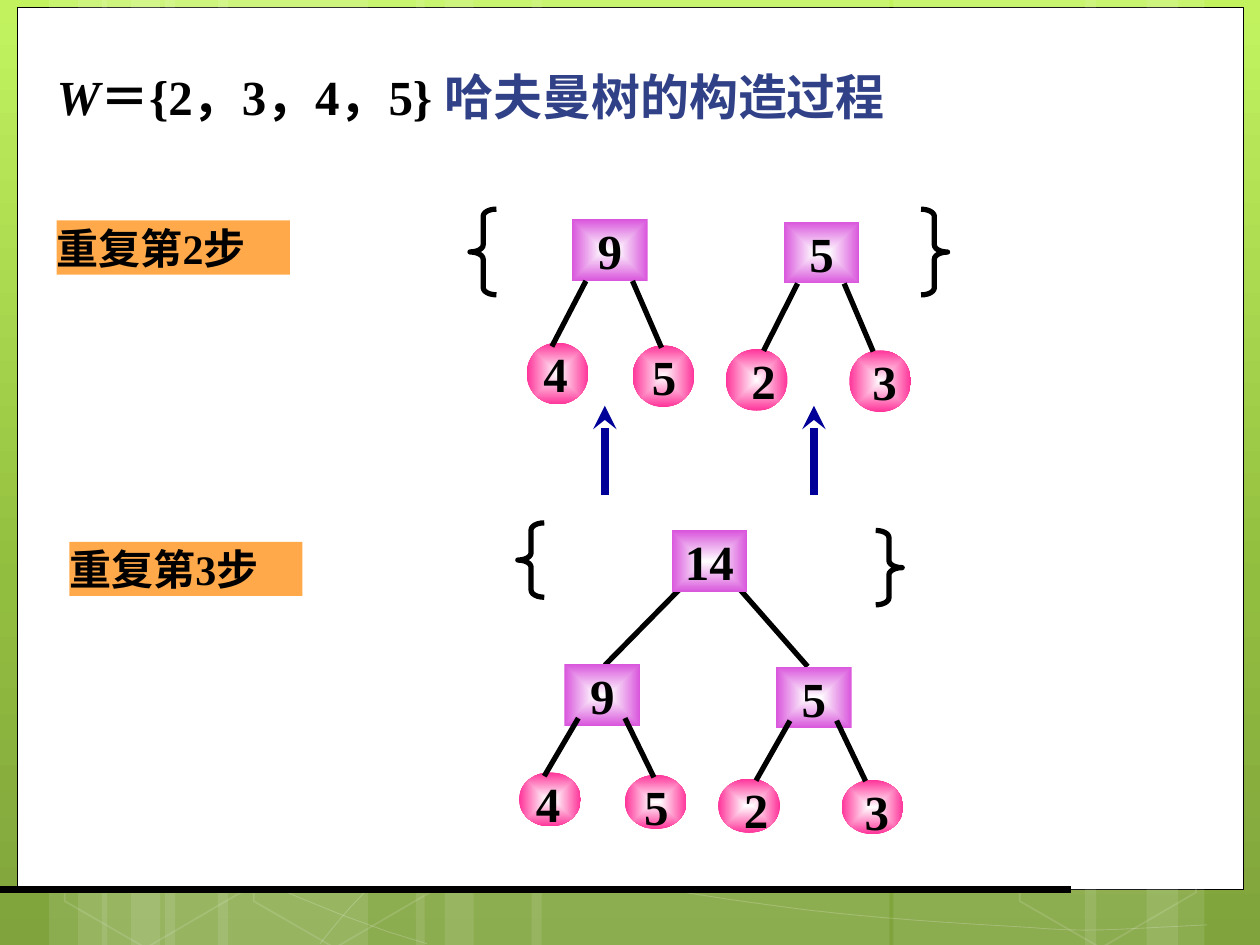
from lxml import etree
from pptx import Presentation
from pptx.dml.color import RGBColor
from pptx.enum.shapes import MSO_CONNECTOR, MSO_SHAPE
from pptx.enum.text import MSO_ANCHOR, PP_ALIGN
from pptx.oxml.ns import qn
from pptx.util import Inches, Pt

RECT, OVAL = MSO_SHAPE.RECTANGLE, MSO_SHAPE.OVAL
HEXAGON, BRACE = MSO_SHAPE.HEXAGON, MSO_SHAPE.LEFT_BRACE
STRAIGHT = MSO_CONNECTOR.STRAIGHT
TOP, MIDDLE = MSO_ANCHOR.TOP, MSO_ANCHOR.MIDDLE
LEFT, CENTER, JUSTIFY = PP_ALIGN.LEFT, PP_ALIGN.CENTER, PP_ALIGN.JUSTIFY

W, H = 10, 7.5
NODE_W = NODE_H = LEAF_W = 0.49
NODE_W = 0.6


class Theme:
    white, ink, title, arrow = "FFFFFF", "000000", "314187", "000099"
    step, node, leaf = "FFA94A", "D955DC", "FF3399"
    sky = [(0, "C2F35F"), (62, "92BE3F"), (100, "80A33D")]
    latin, cjk = "Times New Roman", "Noto Sans CJK SC"
    big, small = 28, 24
    branch, heavy = 3, 4.5


def inches(*values):
    return [Inches(v) for v in values]


def gradient(root, stops, centred=True):
    """Replace the solid fill under root with a gradient."""
    old = root.find(".//" + qn("a:solidFill"))
    grad = etree.Element(qn("a:gradFill"), rotWithShape="1")
    gs_list = etree.SubElement(grad, qn("a:gsLst"))
    for pos, color in stops:
        gs = etree.SubElement(gs_list, qn("a:gs"), pos=str(pos * 1000))
        etree.SubElement(gs, qn("a:srgbClr"), val=color)
    if centred:
        path = etree.SubElement(grad, qn("a:path"))
        path.set("path", "shape")
        half = dict.fromkeys("ltrb", "50000")
        etree.SubElement(path, qn("a:fillToRect"), **half)
    else:
        etree.SubElement(grad, qn("a:lin"), ang="5400000", scaled="0")
    old.getparent().replace(old, grad)


def style(sp, fill=None, line=None, width=1, alpha=None):
    sp.shadow.inherit = False
    for fmt, color in ((sp.fill, fill), (sp.line.fill, line)):
        if color:
            fmt.solid()
            fmt.fore_color.rgb = RGBColor.from_string(color)
        else:
            fmt.background()
    if line:
        sp.line.width = Pt(width)
    if alpha:
        for clr in sp._element.spPr.iter(qn("a:srgbClr")):
            etree.SubElement(clr, qn("a:alpha"), val=str(alpha * 1000))
    return sp


def shape(s, kind, box, **fmt):
    return style(s.shapes.add_shape(kind, *inches(*box)), **fmt)


def line(s, start, end, width, color=Theme.ink, arrow=False):
    cx = s.shapes.add_connector(STRAIGHT, *inches(*start, *end))
    cx.line.width = Pt(width)
    cx.line.color.rgb = RGBColor.from_string(color)
    if arrow:
        etree.SubElement(cx.line._get_or_add_ln(), qn("a:tailEnd"), type="stealth")
    etree.SubElement(cx._element.spPr, qn("a:effectLst"))


def write(sp, runs, size=Theme.big, align=CENTER, anchor=MIDDLE, inset=0, wrap=True):
    """Fill a shape with runs of (text, format values)."""
    tf = sp.text_frame
    margins = {"margin_" + k: Inches(inset) for k in ("left", "top", "right", "bottom")}
    for key, value in dict(margins, word_wrap=wrap, vertical_anchor=anchor).items():
        setattr(tf, key, value)
    p = tf.paragraphs[0]
    p.alignment = align
    for text, fmt in runs:
        r = p.add_run()
        r.text = text
        values = dict(name=Theme.latin, size=Pt(size), bold=True, italic=False)
        color = fmt.pop("color", Theme.ink)
        for key, value in {**values, **fmt}.items():
            setattr(r.font, key, value)
        r.font.color.rgb = RGBColor.from_string(color)
        etree.SubElement(r._r.get_or_add_rPr(), qn("a:ea"), typeface=Theme.cjk)


def curve(s, start, segments, steps=8):
    """Draw a thin white curve from cubic segments (c1, c2, end)."""
    points, p0 = [], start
    for p1, p2, p3 in segments:
        for i in range(1, steps + 1):
            t = i / steps
            u = 1 - t
            points.append(inches(*(
                u**3 * a + 3 * u * u * t * b + 3 * u * t * t * c + t**3 * d
                for a, b, c, d in zip(p0, p1, p2, p3))))
        p0 = p3
    fb = s.shapes.build_freeform(*inches(*start))
    fb.add_line_segments(points, close=False)
    style(fb.convert_to_shape(), line=Theme.white, width=0.5, alpha=20)


def backdrop(s):
    s.background.fill.solid()
    gradient(s._element.find(".//" + qn("p:bg")), Theme.sky, centred=False)
    shape(s, RECT, (0.14, 0.06, 9.73, 7), fill=Theme.white, line=Theme.ink, width=0.5)
    bands = [(1.31, 1.61), (0.39, 0.46), (0.62, 0.77), (1.73, 1.64), (0.81, 0.46),
             (1.04, 0.77), (7.09, 1.61), (9.1, 0.46), (8.61, 0.74), (4.22, 2.84),
             (3.3, 0.46), (3.53, 0.77)]
    for x, w in bands:
        shape(s, RECT, (x, 0, w, H), fill=Theme.white, alpha=10)
    curve(s, (0.36, 6.17), [((1.47, 6.72), (2.58, 7.27), (3.39, 7.49))])
    curve(s, (0.37, 5.78), [
        ((0.66, 5.89), (0.95, 6), (1.49, 6.16)),
        ((2.02, 6.31), (2.82, 6.56), (3.59, 6.73)),
        ((4.36, 6.9), (5.33, 7.08), (6.09, 7.18)),
        ((6.85, 7.29), (7.67, 7.33), (8.16, 7.36)),
        ((8.64, 7.4), (8.77, 7.38), (9.58, 7.34))])
    curve(s, (2.54, 7.49), [
        ((2.7, 7.29), (2.86, 7.09), (3.09, 6.91)),
        ((3.31, 6.72), (3.62, 6.53), (3.88, 6.39)),
        ((4.13, 6.25), (4.29, 6.19), (4.63, 6.09)),
        ((4.97, 5.99), (5.59, 5.85), (5.91, 5.78)),
        ((6.6, 5.62), (7.6, 5.6), (9.57, 5.66))])
    for x in (0.41, 1.91, 7.99):
        sp = shape(s, HEXAGON, (x, 5.92, 1.61, 1.52), line=Theme.white, alpha=12)
        sp.rotation = 30
        sp.adjustments[0] = 0.285
    line(s, (0, 7.06), (0.85 * W, 7.06), Theme.heavy)


def heading(s, box):
    title = s.shapes.title
    title.left, title.top, title.width, title.height = inches(*box)
    s.shapes._spTree.append(title._element)
    runs = [("W", {"italic": True}), ("＝", {"name": Theme.cjk})]
    for text in ("{2", "3", "4"):
        runs += [(text, {}), ("，", {"name": Theme.cjk})]
    runs += [("5} ", {}),
             ("哈夫曼树的构造过程", {"name": Theme.cjk, "color": Theme.title})]
    write(title, runs, align=LEFT, inset=0.1)


def step_label(s, x, y, text):
    sp = shape(s, RECT, (x, y, 1.85, 0.43), fill=Theme.step)
    write(sp, [(text, {})], Theme.small, JUSTIFY)


def braces(s, h, left, right):
    for (x, y), turn in ((left, 0), (right, 180)):
        sp = shape(s, BRACE, (x, y, 0.21, h), line=Theme.ink, width=Theme.branch)
        sp.rotation = turn
        sp.adjustments[0] = 0.27


def node(s, x, y, text):
    sp = shape(s, RECT, (x, y, NODE_W, NODE_H), fill=Theme.node)
    gradient(sp._element.spPr, [(0, Theme.white), (100, Theme.node)])
    write(sp, [(text, {})], wrap=False)


def subtree(s, x, y, text, leaves, drop, leaf_h, joint):
    """Place a node at x, y with leaves (label, dx, dy, label shift) below it."""
    node(s, x, y, text)
    starts = (0.11, 0.48)
    ends = (-0.16, 0.71)
    for (label, dx, dy, shift), start, end in zip(leaves, starts, ends):
        top = y + drop + dy
        sp = shape(s, OVAL, (x + dx, top, LEAF_W, leaf_h), fill=Theme.leaf)
        gradient(sp._element.spPr, [(0, Theme.white), (100, Theme.leaf)])
        line(s, (x + start, y + joint), (x + end, y + drop + 0.03 + dy / 2), Theme.branch)
        tb = s.shapes.add_textbox(*inches(x + dx + shift, top + 0.01, 0.42, leaf_h + 0.07))
        write(tb, [(label, {})], anchor=TOP)


def forest(s, x, y, **size):
    """Place the two subtrees side by side."""
    subtree(s, x, y, "9", [("4", -0.36, 0, 0.02), ("5", 0.48, 0.02, 0.04)], **size)
    subtree(s, x + 1.68, y + 0.02, "5",
            [("2", -0.46, 0.03, 0.09), ("3", 0.52, 0.04, 0.07)], **size)


def merge_arrows(s, y, h):
    for x in (4.8, 6.46):
        line(s, (x, y + h), (x, y), Theme.heavy, Theme.arrow, arrow=True)


def merged_tree(s, x, y):
    for start, end in (((0.1, 0.43), (-0.53, 1.07)), ((0.5, 0.42), (1.08, 1.08))):
        line(s, (x + start[0], y + start[1]), (x + end[0], y + end[1]), Theme.branch)
    node(s, x, y, "14")
    forest(s, x - 0.85, y + 1.06, drop=0.86, leaf_h=0.43, joint=0.43)


def main():
    prs = Presentation()
    prs.slide_width, prs.slide_height = inches(W, H)
    s = prs.slides.add_slide(prs.slide_layouts[5])
    backdrop(s)
    heading(s, (0.35, 0.48, 9.25, 0.57))
    step_label(s, 0.45, 1.75, "重复第2步")
    step_label(s, 0.55, 4.3, "重复第3步")
    braces(s, 0.68, (3.73, 1.66), (7.31, 1.66))
    forest(s, 4.54, 1.74, drop=0.98, leaf_h=0.49, joint=0.49)
    merge_arrows(s, 3.22, 0.71)
    braces(s, 0.59, (4.11, 4.15), (6.95, 4.21))
    merged_tree(s, 5.33, 4.21)
    prs.save("out.pptx")


if __name__ == "__main__":
    main()
